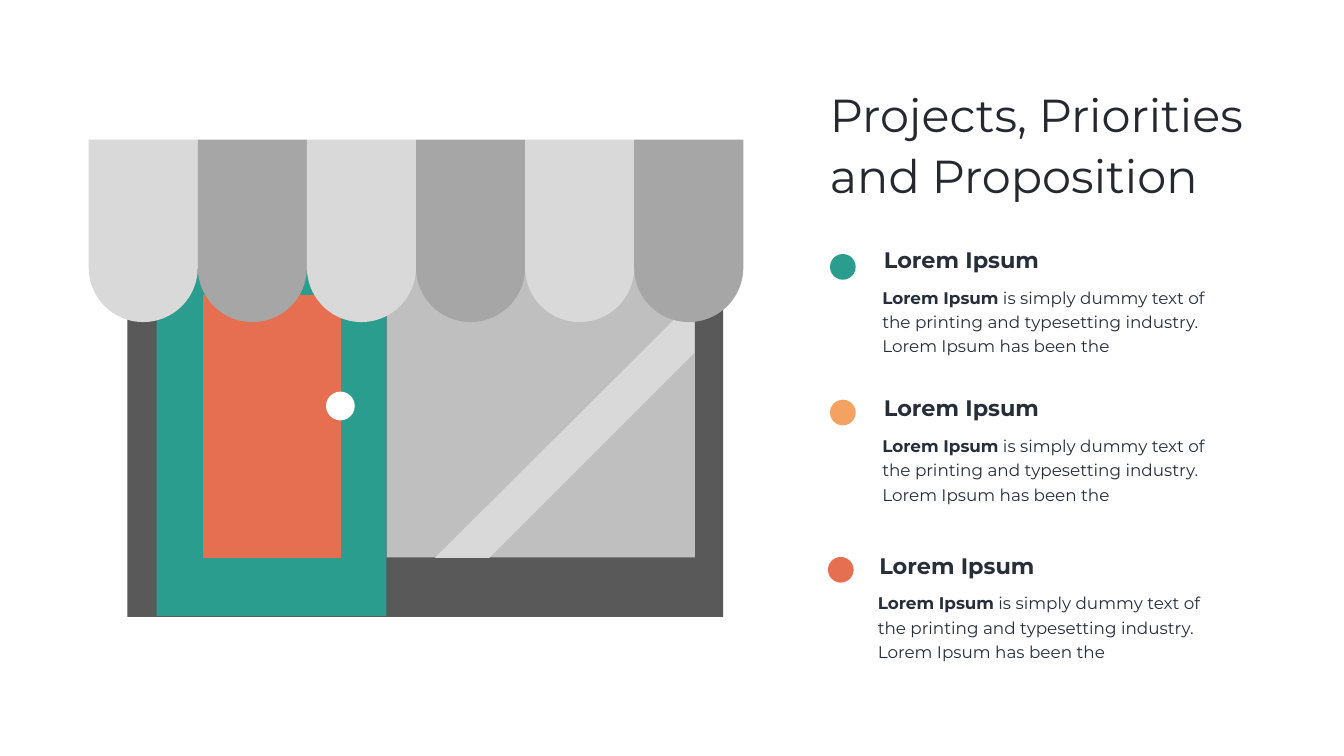
from pptx import Presentation
from pptx.dml.color import RGBColor
from pptx.enum.shapes import MSO_SHAPE
from pptx.enum.text import MSO_ANCHOR, MSO_AUTO_SIZE, PP_ALIGN
from pptx.util import Inches, Pt

WHITE = RGBColor(0xFF, 0xFF, 0xFF)
WALL = RGBColor(0x59, 0x59, 0x59)
GLASS = RGBColor(0xBF, 0xBF, 0xBF)
LIGHT = RGBColor(0xD9, 0xD9, 0xD9)
STRIPE = RGBColor(0xA6, 0xA6, 0xA6)
TEAL = RGBColor(0x2A, 0x9D, 0x8F)
SAND = RGBColor(0xF4, 0xA2, 0x61)
CORAL = RGBColor(0xE7, 0x6F, 0x51)
INK = RGBColor(0x27, 0x2E, 0x3A)
TITLE_INK = RGBColor(0x25, 0x29, 0x2F)

LEAD = "Lorem Ipsum"
DETAIL = (" is simply dummy text of the printing and typesetting industry. "
          "Lorem Ipsum has been the")


class SlideBuilder:
    font_name = "Montserrat"

    def __init__(self, slide):
        self.slide = slide

    def paint(self, shape, color):
        shape.fill.solid()
        shape.fill.fore_color.rgb = color
        shape.line.fill.background()
        shape.shadow.inherit = False
        return shape

    def block(self, left, top, width, height, color, preset=MSO_SHAPE.RECTANGLE):
        shape = self.slide.shapes.add_shape(
            preset, Inches(left), Inches(top), Inches(width), Inches(height))
        return self.paint(shape, color)

    def dot(self, left, top, size, color):
        return self.block(left, top, size, size, color, MSO_SHAPE.OVAL)

    def polygon(self, points, color):
        corners = [(Inches(x), Inches(y)) for x, y in points]
        builder = self.slide.shapes.build_freeform(*corners[0])
        builder.add_line_segments(corners[1:], close=True)
        return self.paint(builder.convert_to_shape(), color)

    def awning(self, left, top, width, height, colors):
        """Hang equal tabs with half-round lower ends side by side."""
        tab_width = width / len(colors)
        for column, color in enumerate(colors):
            tab = self.block(left + column * tab_width, top, tab_width, height,
                             color, MSO_SHAPE.ROUND_2_SAME_RECTANGLE)
            tab.adjustments[0] = 0
            tab.adjustments[1] = 0.5

    def style(self, run, size, color, bold=False):
        run.font.name = self.font_name
        run.font.size = Pt(size)
        run.font.bold = bold
        run.font.color.rgb = color

    def title(self, text, left, top, width, height):
        title = self.slide.shapes.title
        title.left, title.top = Inches(left), Inches(top)
        title.width, title.height = Inches(width), Inches(height)
        frame = title.text_frame
        frame.text = text
        frame.word_wrap = True
        frame.auto_size = MSO_AUTO_SIZE.NONE
        frame.vertical_anchor = MSO_ANCHOR.TOP
        paragraph = frame.paragraphs[0]
        paragraph.alignment = PP_ALIGN.LEFT
        paragraph.line_spacing = 1.1
        self.style(paragraph.runs[0], 66, TITLE_INK)

    def text(self, left, top, width, height, bold_text, size, plain_text=""):
        box = self.slide.shapes.add_textbox(
            Inches(left), Inches(top), Inches(width), Inches(height))
        frame = box.text_frame
        frame.word_wrap = True
        frame.text = bold_text
        paragraph = frame.paragraphs[0]
        self.style(paragraph.runs[0], size, INK, bold=True)
        if plain_text:
            paragraph.line_spacing = 1.2
            run = paragraph.add_run()
            run.text = plain_text
            self.style(run, size, INK)

    def item(self, dot_left, dot_top, text_left, text_top, color):
        self.dot(dot_left, dot_top, 0.51, color)
        self.text(text_left, text_top + 0.74, 7.16, 1.52, LEAD, 24, DETAIL)
        self.text(text_left + 0.03, text_top, 4.56, 0.64, LEAD, 32)


def main():
    presentation = Presentation()
    presentation.slide_width = Inches(26.67)
    presentation.slide_height = Inches(15)
    title_only = presentation.slide_layouts[5]
    builder = SlideBuilder(presentation.slides.add_slide(title_only))

    builder.title("Projects, Priorities and Proposition", 16.37, 1.55, 9.41, 2.47)

    # Shop front: wall, window, door frame, door, reflection, door knob
    builder.block(2.53, 4.6, 11.82, 7.64, WALL)
    builder.block(7.67, 5.03, 6.12, 6.03, GLASS)
    builder.block(3.11, 5.41, 4.56, 6.81, TEAL)
    builder.block(4.03, 5.85, 2.74, 5.22, CORAL)
    builder.polygon([(13.78, 5.94), (13.78, 7), (9.71, 11.07), (8.63, 11.07)], LIGHT)
    builder.dot(6.47, 7.77, 0.57, WHITE)
    builder.awning(1.76, 2.77, 12.99, 3.62, [LIGHT, STRIPE] * 3)

    for placement in (
        (16.47, 5.04, 17.41, 4.84, TEAL),
        (16.47, 7.93, 17.41, 7.78, SAND),
        (16.43, 11.05, 17.32, 10.9, CORAL),
    ):
        builder.item(*placement)

    presentation.save("out.pptx")


if __name__ == "__main__":
    main()
